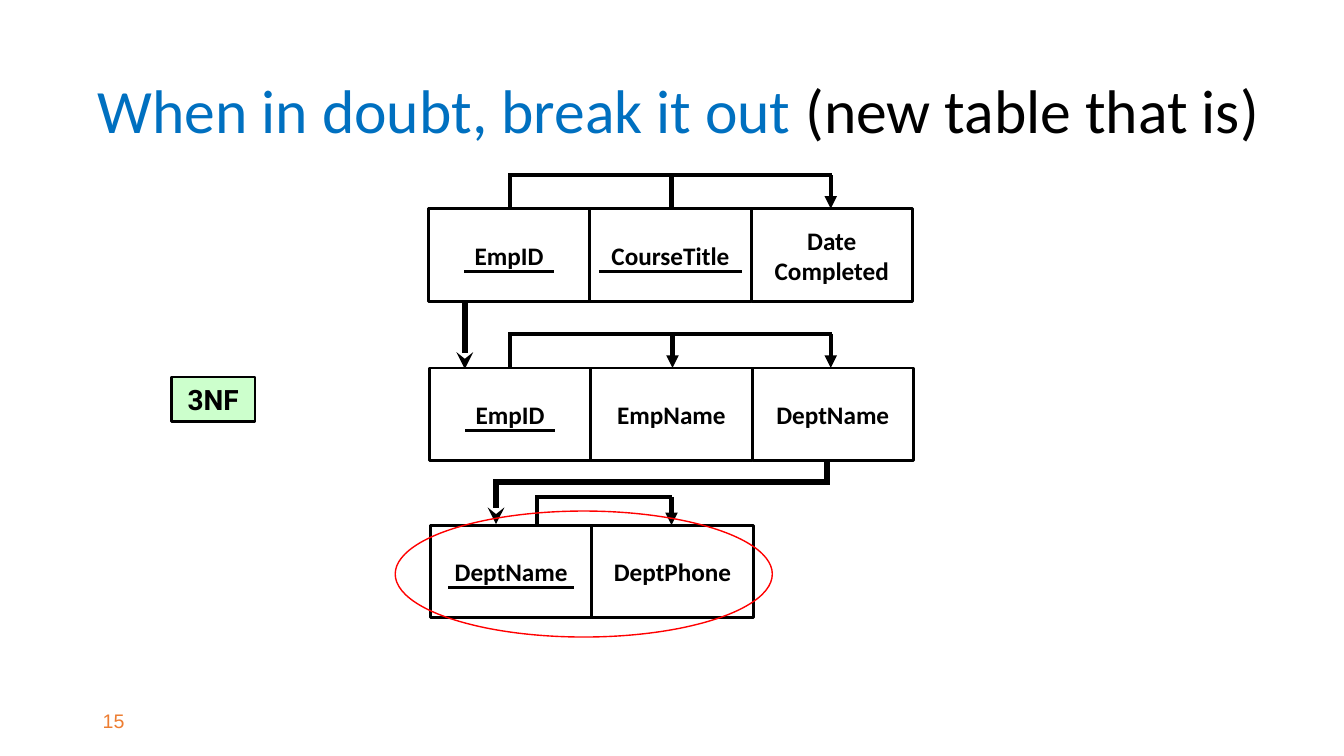
from lxml import etree
from pptx import Presentation, util as u
from pptx.dml.color import RGBColor
from pptx.enum import shapes, text
from pptx.oxml.ns import qn

BLACK = RGBColor(0, 0, 0)
BLUE = RGBColor(0x00, 0x70, 0xC0)
GREEN = RGBColor(0xCC, 0xFF, 0xCC)
ORANGE = RGBColor(0xED, 0x7D, 0x31)
RED = RGBColor(0xFF, 0, 0)

MID = text.PP_ALIGN.CENTER
LEFT = text.PP_ALIGN.LEFT
RECT = shapes.MSO_SHAPE.RECTANGLE
OVAL = shapes.MSO_SHAPE.OVAL


class Board:
    """Draws on one slide, with a grid of ten columns and rows to the inch."""

    cell = 0.1
    wide, high = 16, 9.2
    fonts = {
        "title": {"name": "Calibri", "size": u.Pt(44)},
        "field": {"name": "Calibri", "size": u.Pt(18), "bold": True},
        "badge": {"name": "Roboto", "size": u.Pt(20), "bold": True},
        "page": {"name": "Arial", "size": u.Pt(14)},
    }

    def __init__(self, slide):
        self.items = slide.shapes

    def grid(self, *spots):
        return [u.Inches(spot * self.cell) for spot in spots]

    def letter(self, shape, style, lines, align=MID, wrap=True, **form):
        frame = shape.text_frame
        frame.word_wrap = wrap
        frame.vertical_anchor = text.MSO_ANCHOR.MIDDLE
        for i, line in enumerate(lines):
            para = frame.paragraphs[0] if i == 0 else frame.add_paragraph()
            for key, value in {"alignment": align, **form}.items():
                setattr(para, key, value)
            for words, color in line:
                run = para.add_run()
                run.text = words
                run.font.color.rgb = color
                for key, value in self.fonts[style].items():
                    setattr(run.font, key, value)

    def label(self, spot, style, line, **form):
        self.letter(self.items.add_textbox(*self.grid(*spot)), style, [line], **form)

    def box(self, kind, spot, pen=2, color=BLACK, fill=None):
        shape = self.items.add_shape(kind, *self.grid(*spot))
        shape.shadow.inherit = False
        shape.line.color.rgb = color
        shape.line.width = u.Pt(pen)
        if fill is None:
            shape.fill.background()
        else:
            shape.fill.solid()
            shape.fill.fore_color.rgb = fill
        return shape

    def line(self, start, end, pen=3, head=None):
        link = self.items.add_connector(
            shapes.MSO_CONNECTOR.STRAIGHT, *self.grid(*start, *end))
        link.line.color.rgb = BLACK
        link.line.width = u.Pt(pen)
        props = link._element.spPr
        if head:
            etree.SubElement(props.find(qn("a:ln")), qn("a:tailEnd"), type=head)
        etree.SubElement(props, qn("a:effectLst"))

    def table(self, left, top, fields, keys):
        for i, name in enumerate(fields):
            x = left + i * self.wide
            shape = self.box(RECT, (x, top, self.wide, self.high))
            lines = [[(part, BLACK)] for part in name.split("\n")]
            self.letter(shape, "field", lines, wrap=False)
            if i < len(keys):
                mid, half = x + self.wide / 2, keys[i] / 2
                self.line((mid - half, top + 6.2), (mid + half, top + 6.2), 2)

    def fork(self, top, base, stems, ends):
        self.line((stems[0] - 0.2, top), (ends[-1] + 0.1, top))
        for x in stems:
            self.line((x, base), (x, top))
        for x in ends:
            self.line((x, top), (x, base), head="triangle")


def main():
    deck = Presentation()
    deck.slide_width, deck.slide_height = u.Inches(13.33), u.Inches(7.5)
    board = Board(deck.slides.add_slide(deck.slide_layouts[6]))

    board.label((9.2, 69.5, 30, 4), "page", [("15", ORANGE)], align=LEFT)
    board.label((5.9, 4, 122.8, 14.5), "title",
                [("When in doubt, break it out ", BLUE),
                 ("(new table that is)", BLACK)], line_spacing=0.9)
    badge = board.box(RECT, (17, 37.4, 8.3, 4.4), fill=GREEN)
    board.letter(badge, "badge", [[("3NF", BLACK)]])

    board.table(42.7, 52.1, ["DeptName", "DeptPhone"], [12.5])
    board.fork(49.3, 52.1, [53.3], [66.6])
    board.table(42.6, 36.5, ["EmpID", "EmpName", "DeptName"], [8.9])
    board.fork(33.1, 36.5, [50.6], [66.7, 82.4])
    board.table(42.5, 20.7, ["EmpID", "CourseTitle", "Date\nCompleted"], [8.9, 14.2])
    board.fork(17.4, 20.7, [50.6, 66.6], [82.4])

    board.line((82, 45.8), (82, 47.8), 4)
    board.line((82.3, 47.8), (48.9, 47.8), 4)
    board.line((49.2, 47.6), (49.2, 52), 4, "stealth")
    board.line((46.1, 29.8), (46.1, 36.6), 4, "stealth")
    board.box(OVAL, (39.2, 50.7, 37.4, 12.5), 1, RED)

    deck.save("out.pptx")


if __name__ == "__main__":
    main()
